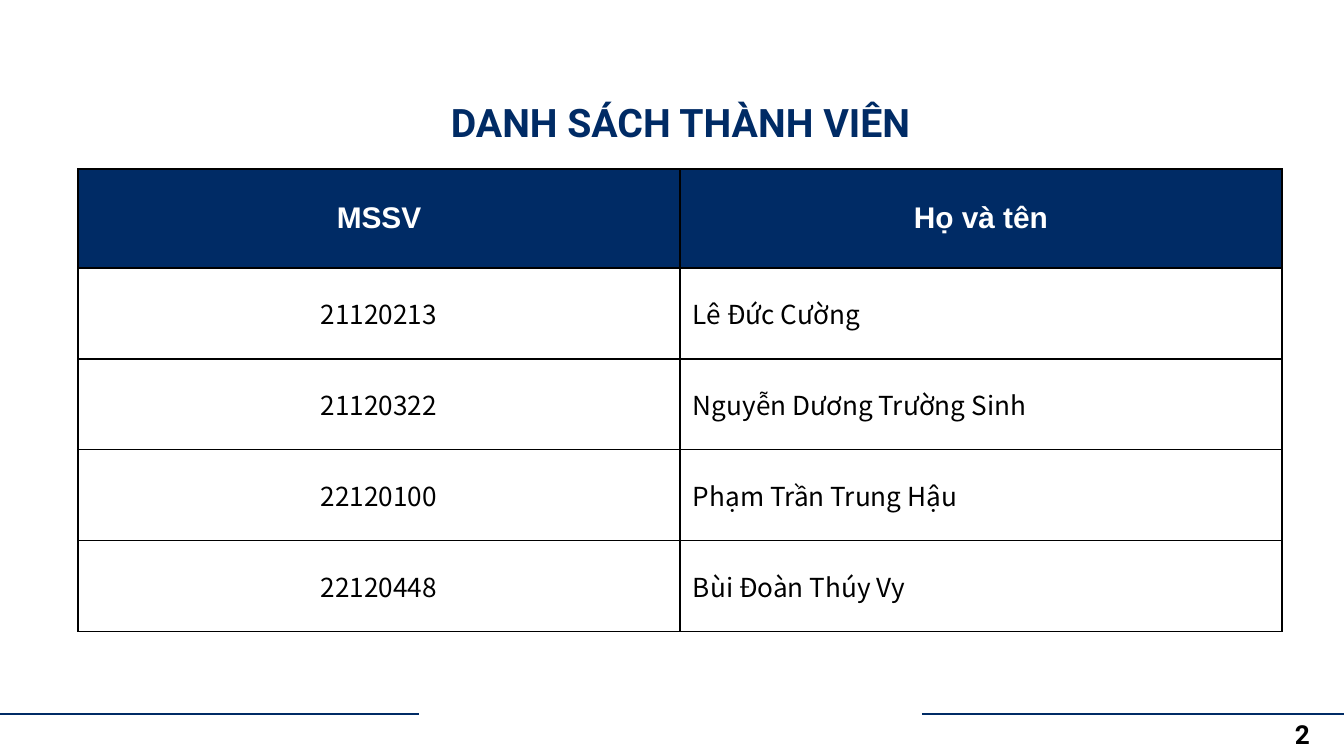
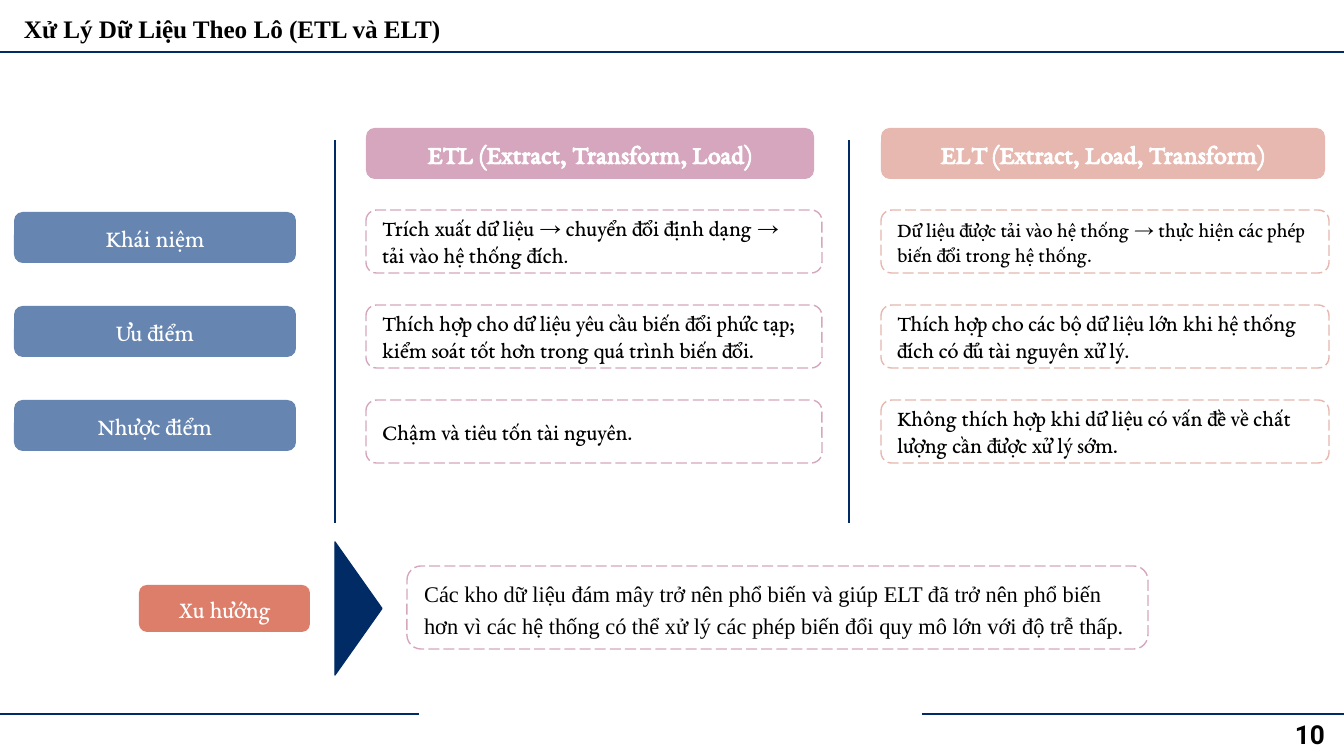
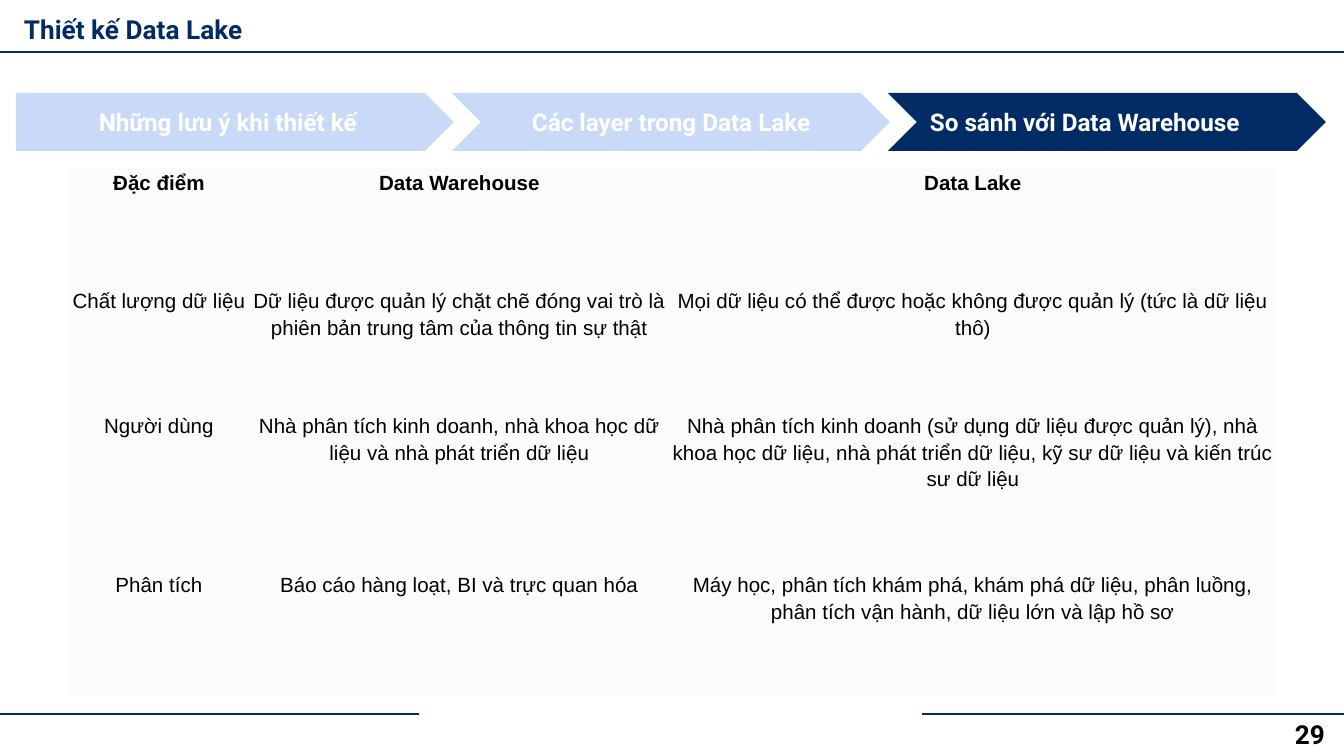
from dataclasses import dataclass, replace

from lxml import etree
from pptx import Presentation
from pptx.dml.color import RGBColor
from pptx.enum.dml import MSO_LINE
from pptx.enum.shapes import MSO_CONNECTOR, MSO_SHAPE
from pptx.enum.text import MSO_ANCHOR, PP_ALIGN
from pptx.oxml import parse_xml
from pptx.oxml.ns import nsdecls, qn
from pptx.util import Emu, Pt

EMU_PER_PX = 914400 / 134.4
WIDTH, HEIGHT = 1344, 756

LEFT, CENTER = PP_ALIGN.LEFT, PP_ALIGN.CENTER
TOP, MIDDLE = MSO_ANCHOR.TOP, MSO_ANCHOR.MIDDLE
ROUNDED, MERGE = MSO_SHAPE.ROUNDED_RECTANGLE, MSO_SHAPE.FLOWCHART_MERGE
PENTAGON, CHEVRON = MSO_SHAPE.PENTAGON, MSO_SHAPE.CHEVRON
STRAIGHT, LONG_DASH = MSO_CONNECTOR.STRAIGHT, MSO_LINE.LONG_DASH

NAVY, BLUE, PALE_BLUE = "002B65", "6685B1", "C9DAF8"
MAUVE, PEACH, CORAL = "D5A6BD", "E6B8AF", "DD7E6B"
BLACK, WHITE, OFF_WHITE = "000000", "FFFFFF", "FBFBFB"


@dataclass(frozen=True)
class TextStyle:
    """Look of a run of text."""

    font: str
    size: float
    color: str = BLACK
    bold: bool = False


HEADLINE = TextStyle("Roboto", 21, NAVY, True)
SLIDE_TITLE = TextStyle("Roboto", 14, NAVY, True)
SERIF_TITLE = TextStyle("Times New Roman", 13.5, BLACK, True)
PAGE_NUMBER = TextStyle("Roboto", 14, BLACK, True)
STEP = TextStyle("Roboto", 13, WHITE, True)
COLUMN_HEAD = TextStyle("EB Garamond", 14, WHITE, True)
ROW_LABEL = TextStyle("EB Garamond", 13, WHITE)
DETAIL = TextStyle("EB Garamond", 12)
SMALL_DETAIL = replace(DETAIL, size=11)
TREND = TextStyle("Times New Roman", 12)
MEMBER_HEAD = TextStyle("Arial", 16, WHITE, True)
MEMBER = TextStyle("Noto Sans CJK JP", 14)
COMPARISON = TextStyle("Arial", 11)
COMPARISON_HEAD = replace(COMPARISON, bold=True)


def px(length):
    """Turn pixels into EMU."""
    return Emu(round(length * EMU_PER_PX))


def rgb(color):
    """Turn a hex string into a colour."""
    return RGBColor.from_string(color)


def write(frame, runs, align=LEFT, spacing=None):
    """Fill the first paragraph of a frame with (text, style) runs."""
    paragraph = frame.paragraphs[0]
    paragraph.alignment = align
    if spacing:
        paragraph.line_spacing = spacing
    for text, style in runs:
        run = paragraph.add_run()
        run.text = text
        run.font.name = style.font
        run.font.size = Pt(style.size)
        run.font.bold = style.bold
        run.font.color.rgb = rgb(style.color)


def set_margins(holder, across, down):
    """Set the inner margins of a text frame or a table cell."""
    holder.margin_left = holder.margin_right = px(across)
    holder.margin_top = holder.margin_bottom = px(down)


def add_text(slide, box, text, style, align=LEFT, down=13):
    """Add a text box holding one run."""
    frame = slide.shapes.add_textbox(*map(px, box)).text_frame
    frame.word_wrap = True
    set_margins(frame, 13, down)
    write(frame, [(text, style)], align)


def add_block(slide, kind, box, runs=(), fill=None, outline=None,
              dash=None, adjust=None, align=CENTER, spacing=None):
    """Add a preset shape with optional fill, outline and text."""
    block = slide.shapes.add_shape(kind, *map(px, box))
    block.shadow.inherit = False
    if adjust is not None:
        block.adjustments[0] = adjust
    if fill:
        block.fill.solid()
        block.fill.fore_color.rgb = rgb(fill)
    else:
        block.fill.background()
    if outline:
        block.line.color.rgb = rgb(outline)
        block.line.width = Pt(0.75)
        block.line.dash_style = dash
    else:
        block.line.fill.background()
    frame = block.text_frame
    frame.word_wrap = True
    frame.vertical_anchor = MIDDLE
    set_margins(frame, 13, 13)
    write(frame, runs, align, spacing)
    return block


def add_label(slide, box, text, style, fill):
    """Add a filled rounded label."""
    add_block(slide, ROUNDED, box, [(text, style)], fill, adjust=0.17)


def add_note(slide, box, runs, outline, spacing=None):
    """Add a rounded note with a dashed outline."""
    add_block(slide, ROUNDED, box, runs, outline=outline, dash=LONG_DASH,
              adjust=0.17, align=LEFT, spacing=spacing)


def add_rule(slide, start, end, weight):
    """Add a straight navy line."""
    rule = slide.shapes.add_connector(STRAIGHT, *map(px, start + end))
    rule.line.color.rgb = rgb(NAVY)
    rule.line.width = Pt(weight)
    etree.SubElement(rule._element.spPr, qn("a:effectLst"))


def set_borders(cell, color):
    """Draw the four borders of a cell, or hide them without a colour."""
    paint = (f'<a:solidFill><a:srgbClr val="{color}"/></a:solidFill>'
             if color else "<a:noFill/>")
    properties = cell._tc.get_or_add_tcPr()
    for side in ("lnL", "lnR", "lnT", "lnB"):
        properties.append(parse_xml(
            f'<a:{side} {nsdecls("a")} w="{Pt(0.75)}">{paint}</a:{side}>'))


def add_grid(slide, origin, widths, heights, rows, styles, aligns,
             fills, margin, anchor=TOP, border=None, spacing=None):
    """Add a table; styles and fills give the head row, then the body."""
    grid = slide.shapes.add_table(
        len(rows), len(widths), *map(px, origin),
        px(sum(widths)), px(sum(heights))).table
    grid.first_row = grid.horz_banding = False
    for column, width in zip(grid.columns, widths):
        column.width = px(width)
    for r, (texts, height) in enumerate(zip(rows, heights)):
        grid.rows[r].height = px(height)
        part = min(r, 1)
        for c, text in enumerate(texts):
            cell = grid.cell(r, c)
            set_borders(cell, border)
            if fills[part]:
                cell.fill.solid()
                cell.fill.fore_color.rgb = rgb(fills[part])
            else:
                cell.fill.background()
            set_margins(cell, margin, margin)
            cell.vertical_anchor = anchor
            align = aligns[c] if part else CENTER
            write(cell.text_frame, [(text, styles[part])], align, spacing)


def new_slide(deck, number, title=None, style=SLIDE_TITLE):
    """Add a slide with its footer and, if titled, its header."""
    slide = deck.slides.add_slide(deck.slide_layouts[6])
    if title:
        add_rule(slide, (-1, 52), (1345, 52), 1.5)
        add_text(slide, (11, 0, 1093, 58), title, style)
    for start in (-3, 922):
        add_rule(slide, (start, 714), (start + 422, 714), 0.75)
    add_text(slide, (1282, 711, 62, 46), str(number), PAGE_NUMBER, down=7)
    return slide


def build_members(deck):
    """Build the list of members."""
    slide = new_slide(deck, 2)
    rows = [
        ("MSSV", "Họ và tên"),
        ("21120213", "Lê Đức Cường"),
        ("21120322", "Nguyễn Dương Trường Sinh"),
        ("22120100", "Phạm Trần Trung Hậu"),
        ("22120448", "Bùi Đoàn Thúy Vy"),
    ]
    add_grid(slide, (78, 169), [602] * 2, [99] + [91] * 4, rows,
             (MEMBER_HEAD, MEMBER), (CENTER, LEFT), (NAVY, None),
             margin=13, anchor=MIDDLE, border=BLACK)
    add_text(slide, (396, 85, 569, 75), "DANH SÁCH THÀNH VIÊN", HEADLINE,
             CENTER)


def build_batch(deck):
    """Build the comparison of ETL and ELT."""
    slide = new_slide(deck, 10, "Xử Lý Dữ Liệu Theo Lô (ETL và ELT)",
                      SERIF_TITLE)
    for i, aspect in enumerate(("Khái niệm", "Ưu điểm", "Nhược điểm")):
        add_label(slide, (14, 212 + 94 * i, 282, 51), aspect, ROW_LABEL, BLUE)

    approaches = [
        ("ETL (Extract, Transform, Load)", MAUVE, 366, 448, 456, [
            [("Trích xuất dữ liệu → chuyển đổi định dạng → "
              "tải vào hệ thống đích", DETAIL), (".", SMALL_DETAIL)],
            [("Thích hợp cho dữ liệu yêu cầu biến đổi phức tạp; "
              "kiểm soát tốt hơn trong quá trình biến đổi.", DETAIL)],
            [("Chậm và tiêu tốn tài nguyên.", DETAIL)],
        ]),
        ("ELT (Extract, Load, Transform)", PEACH, 881, 444, 448, [
            [("Dữ liệu được tải vào hệ thống → thực hiện các phép "
              "biến đổi trong hệ thống.", SMALL_DETAIL)],
            [("Thích hợp cho các bộ dữ liệu lớn khi hệ thống "
              "đích có đủ tài nguyên xử lý.", DETAIL)],
            [("Không thích hợp khi dữ liệu có vấn đề về chất "
              "lượng cần được xử lý sớm.", DETAIL)],
        ]),
    ]
    for head, color, left, head_width, note_width, notes in approaches:
        add_label(slide, (left, 128, head_width, 51), head, COLUMN_HEAD, color)
        for i, runs in enumerate(notes):
            add_note(slide, (left, 210 + 95 * i, note_width, 63), runs, color)
    for divider in (335, 849):
        add_rule(slide, (divider, 140), (divider, 523), 1.5)

    pointer = add_block(slide, MERGE, (292, 585, 133, 47), fill=NAVY,
                        outline=NAVY)
    pointer.rotation = 270
    add_label(slide, (139, 585, 171, 47), "Xu hướng", ROW_LABEL, CORAL)
    trend = ("Các kho dữ liệu đám mây trở nên phổ biến và giúp ELT đã trở nên "
             "phổ biến hơn vì các hệ thống có thể xử lý các phép biến đổi "
             "quy mô lớn với độ trễ thấp.")
    add_note(slide, (407, 566, 741, 83), [(trend, TREND)], MAUVE, 1.16)


def build_data_lake(deck):
    """Build the comparison of data lake and data warehouse."""
    slide = new_slide(deck, 29, "Thiết kế Data Lake")
    rows = [
        ("Đặc điểm", "Data Warehouse", "Data Lake"),
        ("Chất lượng dữ liệu",
         "Dữ liệu được quản lý chặt chẽ đóng vai trò là phiên bản trung tâm "
         "của thông tin sự thật",
         "Mọi dữ liệu có thể được hoặc không được quản lý "
         "(tức là dữ liệu thô)"),
        ("Người dùng",
         "Nhà phân tích kinh doanh, nhà khoa học dữ liệu và nhà phát triển "
         "dữ liệu",
         "Nhà phân tích kinh doanh (sử dụng dữ liệu được quản lý), nhà khoa "
         "học dữ liệu, nhà phát triển dữ liệu, kỹ sư dữ liệu và kiến trúc sư "
         "dữ liệu"),
        ("Phân tích",
         "Báo cáo hàng loạt, BI và trực quan hóa",
         "Máy học, phân tích khám phá, khám phá dữ liệu, phân luồng, "
         "phân tích vận hành, dữ liệu lớn và lập hồ sơ"),
    ]
    add_grid(slide, (69, 168), (180, 421, 606), (118, 125, 159, 125), rows,
             (COMPARISON_HEAD, COMPARISON), [CENTER] * 3, [OFF_WHITE] * 2,
             margin=1, spacing=1.15)
    steps = [
        ("Những lưu ý khi thiết kế", PENTAGON, PALE_BLUE, CENTER),
        ("Các layer trong Data Lake", CHEVRON, PALE_BLUE, CENTER),
        ("So sánh với Data Warehouse", CHEVRON, NAVY, LEFT),
    ]
    for i, (text, kind, fill, align) in enumerate(steps):
        add_block(slide, kind, (16 + 436 * i, 93, 438, 58), [(text, STEP)],
                  fill, adjust=0.5, align=align)


def main():
    """Build and save the deck."""
    deck = Presentation()
    deck.slide_width, deck.slide_height = px(WIDTH), px(HEIGHT)
    build_members(deck)
    build_batch(deck)
    build_data_lake(deck)
    deck.save("out.pptx")


if __name__ == "__main__":
    main()
